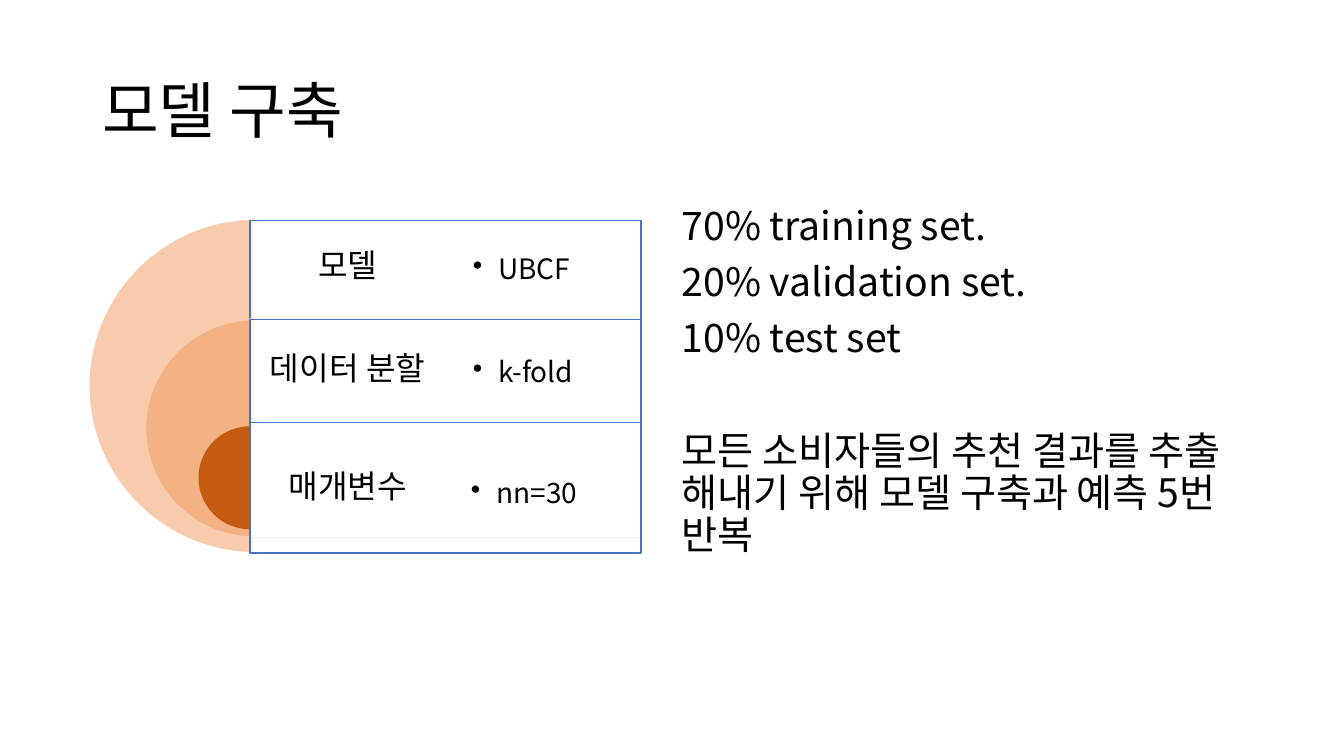
"""Build the model construction slide."""
import pptx
import pptx.util
import pptx.dml.color
import pptx.enum.shapes
import pptx.enum.text
import pptx.oxml.ns
import lxml.etree

Cm = pptx.util.Cm
Pt = pptx.util.Pt
Kind = pptx.enum.shapes.MSO_SHAPE
Align = pptx.enum.text.PP_ALIGN
Anchor = pptx.enum.text.MSO_ANCHOR
qn = pptx.oxml.ns.qn
FONT = "Noto Sans CJK KR"


def paint(target, color):
    if hasattr(target, "solid"):
        target.solid()
        target.fore_color.rgb = pptx.dml.color.RGBColor.from_string(color)
    else:
        target.rgb = pptx.dml.color.RGBColor.from_string(color)


def write(text, box, size, anchor=Anchor.MIDDLE, align=Align.LEFT,
          inset=(0.25, 0.13), before=(0,), after=0, bullet=False):
    frame = slide.shapes.add_textbox(*map(Cm, box)).text_frame
    frame.word_wrap = True
    frame.vertical_anchor = anchor
    frame.margin_left = frame.margin_right = Cm(inset[0])
    frame.margin_top = frame.margin_bottom = Cm(inset[1])
    frame.text = text
    for para, gap in zip(frame.paragraphs, before):
        para.alignment = align
        para.line_spacing = 0.9
        para.space_before = Pt(gap)
        para.space_after = Pt(after)
        font = para.runs[0].font
        font.size = Pt(size)
        font.name = FONT
        paint(font.color, "000000")
        props = para.runs[0]._r.get_or_add_rPr()
        lxml.etree.SubElement(props, qn("a:ea")).set("typeface", FONT)
        if bullet:
            props = para._p.get_or_add_pPr()
            props.set("marL", str(Cm(0.64)))
            props.set("indent", str(-Cm(0.64)))
            lxml.etree.SubElement(props, qn("a:buChar")).set("char", "•")


deck = pptx.Presentation()
deck.slide_width = Cm(33.87)
deck.slide_height = Cm(19.05)
slide = deck.slides.add_slide(deck.slide_layouts[6])

write("모델 구축", (2.33, 1.02, 29.21, 3.68), 44)
write("70% training set.\n20% validation set.\n10% test set\n"
      "모든 소비자들의 추천 결과를 추출 해내기 위해 모델 구축과 예측 5번 반복",
      (16.93, 5.07, 14.61, 12.1), 28, anchor=Anchor.TOP,
      before=(10, 10, 10, 50))

left, width = 6.3, 9.86
half = width / 2
rows = [
    ("모델", "UBCF", (2.23, 5.51, 8.43), "F8CBAD", "FFFFFF",
     5.56, 7.82, 2.34, (11.23, 5.54)),
    ("데이터 분할", "k-fold", (3.66, 8.05, 5.49), "F4B183", "F8CBAD",
     8.05, 5.49, 2.54, (11.23, 8.15)),
    ("매개변수", "nn=30", (5.03, 10.77, 2.54), "C55A11", "C55A11",
     10.64, 3.3, 3.3, (11.18, 11.2)),
]
for label, note, (x, y, size), color, edge, top, height, depth, spot in rows:
    pie = slide.shapes.add_shape(Kind.PIE, Cm(x), Cm(y), Cm(size), Cm(size))
    pie.adjustments[0] = 54
    pie.adjustments[1] = 162
    panel = slide.shapes.add_shape(
        Kind.RECTANGLE, Cm(left), Cm(top), Cm(width), Cm(height))
    for shape, fill, line, weight in ((pie, color, edge, 1.5),
                                      (panel, "FFFFFF", "4472C4", 1)):
        shape.shadow.inherit = False
        paint(shape.fill, fill)
        paint(shape.line.fill, line)
        shape.line.width = Pt(weight)
    tint = panel._element.spPr.find(qn("a:solidFill")).find(qn("a:srgbClr"))
    lxml.etree.SubElement(tint, qn("a:alpha")).set("val", "90000")
    write(label, (left, top, half, depth), 23, align=Align.CENTER,
          inset=(0.25, 0.25), after=8)
    write(note, (*spot, half, 2.54), 20, inset=(0.69, 0.69), after=3,
          bullet=True)

deck.save("out.pptx")
